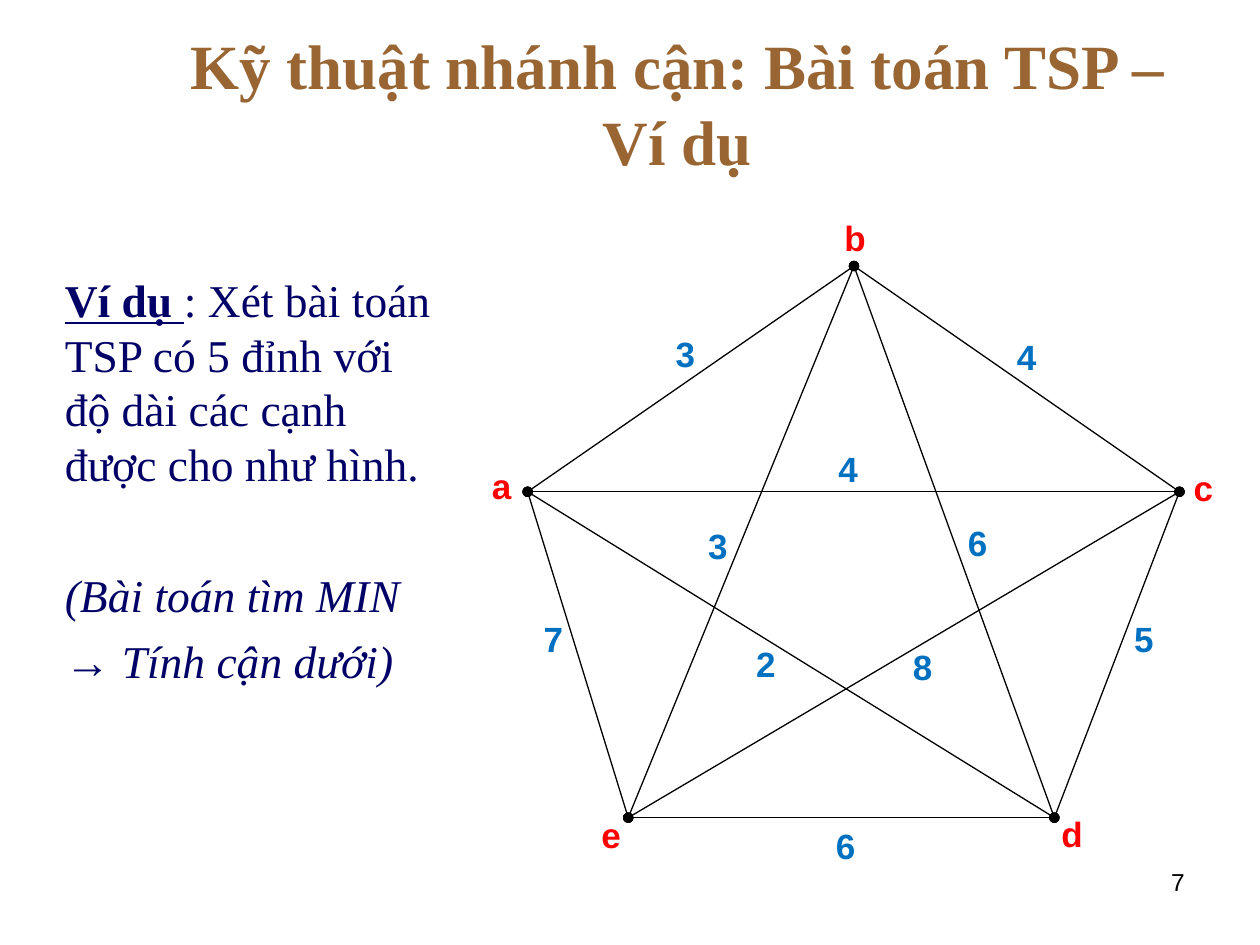
from lxml.etree import SubElement
from pptx import Presentation
from pptx.dml.color import RGBColor
from pptx.enum.shapes import MSO_CONNECTOR
from pptx.enum.text import MSO_ANCHOR, MSO_AUTO_SIZE, PP_ALIGN
from pptx.oxml.ns import qn
from pptx.util import Pt

COLORS = {"title": "996633", "body": "000066", "weight": "0070C0",
          "vertex": "FF0000", "black": "000000"}
SERIF, SANS = "Times New Roman", "Arial"

# vertex: (point, top left of its label)
VERTICES = {
    "a": ((301.5, 281), (279.5, 265.5)),
    "b": ((488, 152), (481.5, 124)),
    "c": ((674, 281), (680.5, 266.5)),
    "d": ((602.5, 467.25), (605.5, 464.5)),
    "e": ((359, 467.25), (342, 465)),
}
# edge: (weight, top left of its label)
EDGES = {
    "ab": (3, (384.5, 190)),
    "cb": (4, (579.5, 191.5)),
    "eb": (3, (403, 300)),
    "db": (6, (551.5, 298)),
    "ac": (4, (477.5, 255.5)),
    "ae": (7, (309, 353)),
    "ad": (2, (430.5, 367)),
    "ec": (8, (520, 369)),
    "ed": (6, (476, 471)),
    "dc": (5, (646.5, 353)),
}
LABEL_SIZE = (14.4, 28.8)
BODY = dict(name=SERIF, size=Pt(26), color="body")


class SlideBuilder:
    def __init__(self, prs):
        self.s = prs.slides.add_slide(prs.slide_layouts[5])

    def runs(self, p, parts):
        """Add (text, format) pairs to a paragraph."""
        for text, fmt in parts:
            r = p.add_run()
            r.text = text
            for key, value in fmt.items():
                if key == "color":
                    r.font.color.rgb = RGBColor.from_string(COLORS[value])
                else:
                    setattr(r.font, key, value)

    def title(self, text, left, top, width, height):
        sp = self.s.shapes.title
        box = dict(left=left, top=top, width=width, height=height)
        for key, value in box.items():
            setattr(sp, key, Pt(value))
        tf = sp.text_frame
        tf.auto_size = MSO_AUTO_SIZE.NONE
        tf.vertical_anchor = MSO_ANCHOR.MIDDLE
        p = tf.paragraphs[0]
        p.alignment = PP_ALIGN.CENTER
        self.runs(p, [(text, dict(name=SERIF, size=Pt(36), bold=True,
                                  color="title"))])

    def text(self, paragraphs, box, align=PP_ALIGN.LEFT, margins=(7.2, 3.6)):
        """Add a text box; each paragraph is (space before, runs)."""
        tf = self.s.shapes.add_textbox(*map(Pt, box)).text_frame
        tf.word_wrap = True
        tf.margin_left = tf.margin_right = Pt(margins[0])
        tf.margin_top = tf.margin_bottom = Pt(margins[1])
        for i, (space, parts) in enumerate(paragraphs):
            p = tf.add_paragraph() if i else tf.paragraphs[0]
            p.alignment = align
            p.space_before = Pt(space)
            self.runs(p, parts)

    def label(self, text, position, color):
        fmt = dict(name=SANS, size=Pt(20), bold=True, color=color)
        self.text([(0, [(text, fmt)])], position + LABEL_SIZE,
                  PP_ALIGN.CENTER, (0, 0))

    def edge(self, start, end):
        """Draw a line with a dot at both ends."""
        sp = self.s.shapes.add_connector(MSO_CONNECTOR.STRAIGHT,
                                         *map(Pt, start + end))
        sp.line.width = Pt(0.75)
        sp.line.color.rgb = RGBColor.from_string(COLORS["black"])
        ln = sp.line._get_or_add_ln()
        for tag in ("a:headEnd", "a:tailEnd"):
            SubElement(ln, qn(tag), type="oval")
        SubElement(sp._element.spPr, qn("a:effectLst"))


def main():
    prs = Presentation()
    prs.slide_width, prs.slide_height = Pt(720), Pt(540)
    slide = SlideBuilder(prs)
    slide.title("Kỹ thuật nhánh cận: Bài toán TSP – Ví dụ", 90, 21.6, 594, 74)

    for weight, position in EDGES.values():
        slide.label(str(weight), position, "weight")
    for name, (_, position) in VERTICES.items():
        slide.label(name, position, "vertex")
    for start, end in EDGES:
        slide.edge(VERTICES[start][0], VERTICES[end][0])

    italic = dict(BODY, italic=True)
    slide.text([
        (0, [("Ví dụ ", dict(BODY, bold=True, underline=True)),
             (": Xét bài toán TSP có 5 đỉnh với độ dài các cạnh "
              "được cho như hình.", BODY)]),
        (44, [("(Bài toán tìm MIN", italic)]),
        (6.5, [("→", dict(italic, name=SANS)), (" Tính cận dưới)", italic)]),
    ], (30, 152, 224, 334))
    slide.text([(0, [("7", dict(name=SANS, size=Pt(14), color="black"))])],
               (516, 492, 168, 37.5), PP_ALIGN.RIGHT)
    prs.save("out.pptx")


if __name__ == "__main__":
    main()
